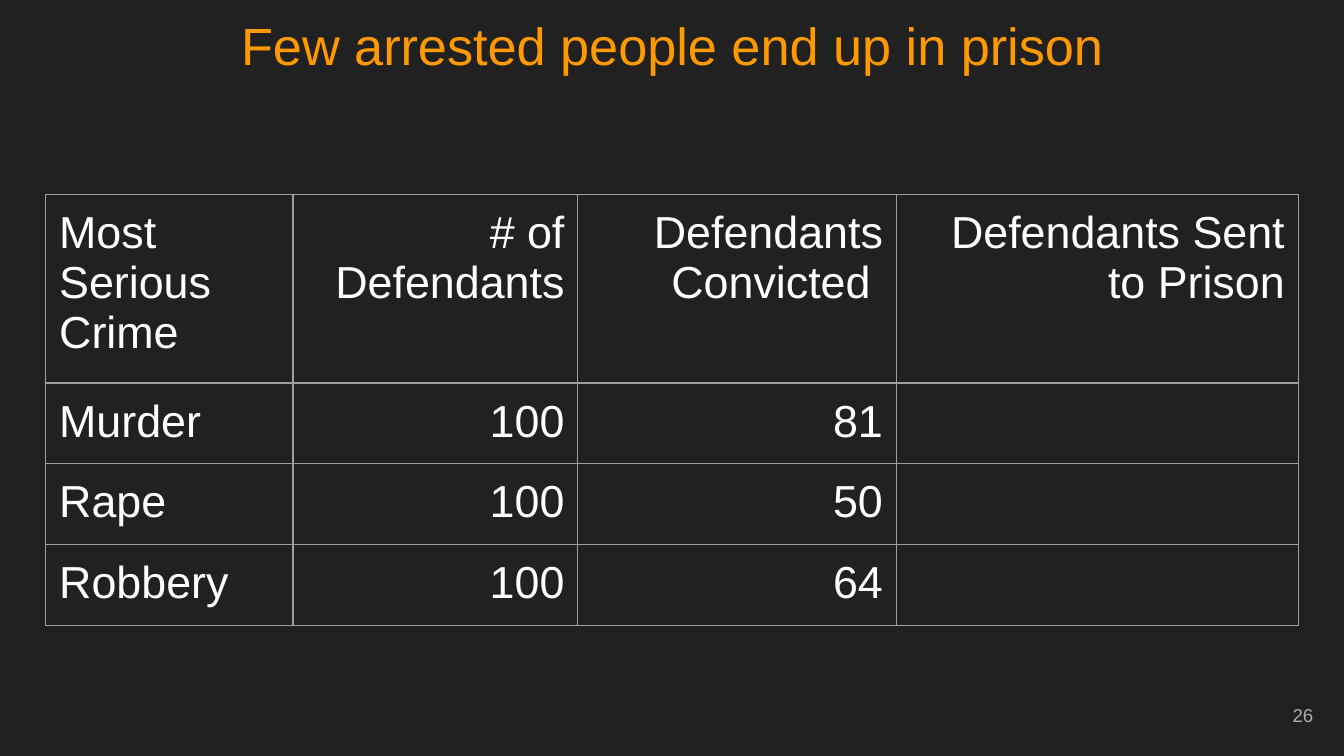
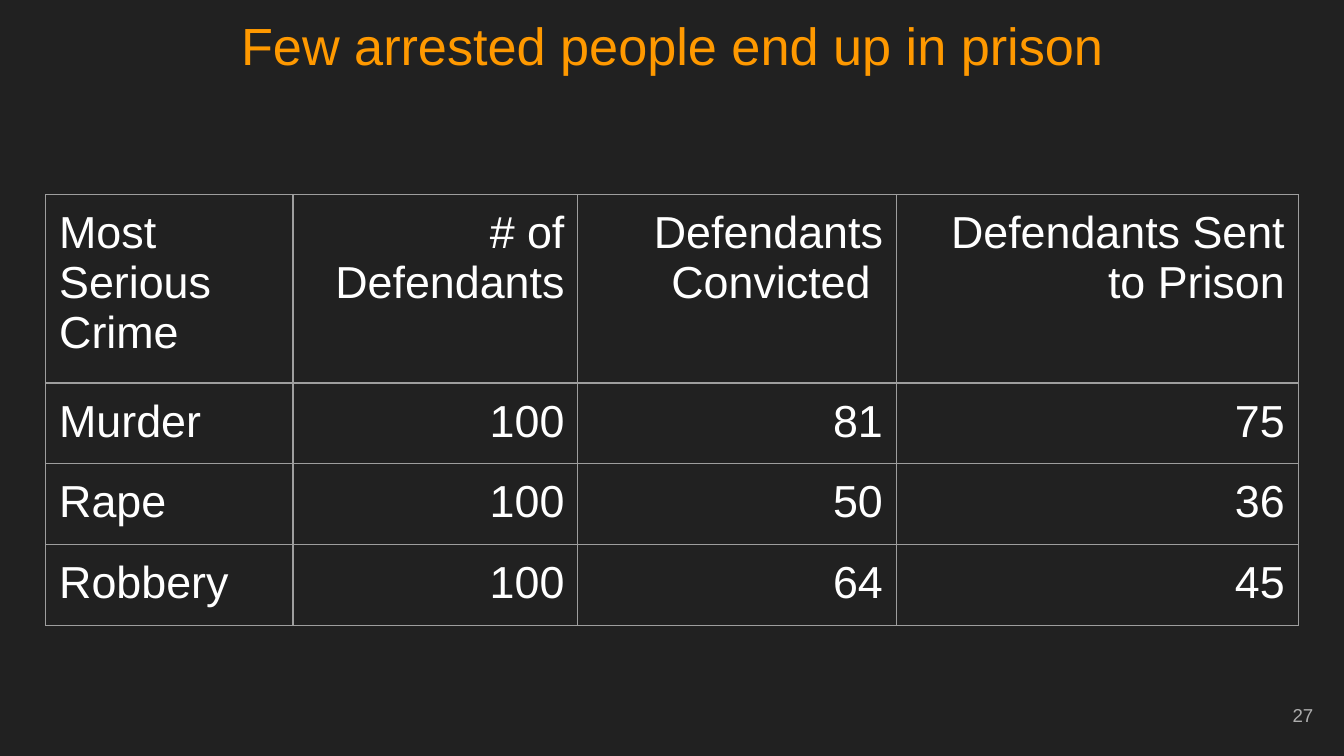
from lxml.etree import SubElement
from pptx import Presentation
from pptx.dml.color import RGBColor
from pptx.enum.text import MSO_ANCHOR, PP_ALIGN
from pptx.oxml.ns import qn
from pptx.util import Inches, Pt

# Shared look
HUES = {"back": "212121", "title": "FF9900", "text": "FFFFFF",
        "rule": "9E9E9E", "page": "ADADAD"}
FONT = "Arial"
WIDE = Inches(10)
HIGH = WIDE * 9 // 16
PAD = Inches(0.1)

# Table content
TITLE = "Few arrested people end up in prison"
HEADS = ["Most Serious Crime", "# of Defendants", "Defendants Convicted ",
         " Defendants Sent to Prison"]
CRIMES = [("Murder", 100, 81, 75), ("Rape", 100, 50, 36),
          ("Robbery", 100, 64, 45)]
COLS = [1.84, 2.12, 2.37, 2.99]
ROW = 0.42
FRAME = Inches(3.28)


def shade(name):
    return RGBColor.from_string(HUES[name])


def write(frame, text, size=24, hue="text", align=PP_ALIGN.LEFT):
    line = frame.paragraphs[0]
    line.alignment = align
    run = line.add_run()
    run.text = text
    run.font.name = FONT
    run.font.size = Pt(size)
    run.font.color.rgb = shade(hue)


def pad(item):
    item.margin_left = item.margin_right = PAD
    item.margin_top = item.margin_bottom = PAD


def add_text(slide, text, left, top, width, height,
             anchor=MSO_ANCHOR.TOP, **style):
    """Place a text box by shares of the slide's size."""
    box = slide.shapes.add_textbox(int(WIDE * left), int(HIGH * top),
                                   int(WIDE * width), int(HIGH * height))
    frame = box.text_frame
    frame.word_wrap = True
    frame.vertical_anchor = anchor
    pad(frame)
    write(frame, text, **style)


def rule(cell):
    """Draw the four borders of a cell."""
    props = cell._tc.get_or_add_tcPr()
    for place, side in enumerate(("lnL", "lnR", "lnT", "lnB")):
        edge = SubElement(props, qn(f"a:{side}"), w=str(Pt(0.75)))
        fill = SubElement(edge, qn("a:solidFill"))
        SubElement(fill, qn("a:srgbClr"), val=HUES["rule"])
        props.insert(place, edge)


def add_grid(slide, rows):
    shape = slide.shapes.add_table(len(rows), len(COLS), Inches(0.34),
                                   Inches(1.45), FRAME, FRAME)
    table = shape.table
    table.first_row = table.horz_banding = False
    for col, width in zip(table.columns, COLS):
        col.width = Inches(width)
    for row in table.rows:
        row.height = Inches(ROW)
    # Rows grow to fit their text inside this frame
    shape.width = shape.height = FRAME
    for r, row in enumerate(rows):
        for c, value in enumerate(row):
            cell = table.cell(r, c)
            cell.fill.background()
            rule(cell)
            pad(cell)
            if value != "":
                write(cell.text_frame, str(value),
                      align=PP_ALIGN.RIGHT if c else PP_ALIGN.LEFT)


def add_page(deck, number, known):
    slide = deck.slides.add_slide(deck.slide_layouts[6])
    slide.background.fill.solid()
    slide.background.fill.fore_color.rgb = shade("back")
    add_text(slide, TITLE, 0, 0, 1, 0.11, size=28, hue="title",
             align=PP_ALIGN.CENTER)
    # The prison column stays empty until its counts are known
    rows = [row if known else (*row[:-1], "") for row in CRIMES]
    add_grid(slide, [HEADS, *rows])
    add_text(slide, str(number), 0.927, 0.907, 0.06, 0.077, size=10,
             hue="page", align=PP_ALIGN.RIGHT, anchor=MSO_ANCHOR.MIDDLE)


def main():
    deck = Presentation()
    deck.slide_width, deck.slide_height = WIDE, HIGH
    add_page(deck, 26, known=False)
    add_page(deck, 27, known=True)
    deck.save("out.pptx")


if __name__ == "__main__":
    main()
